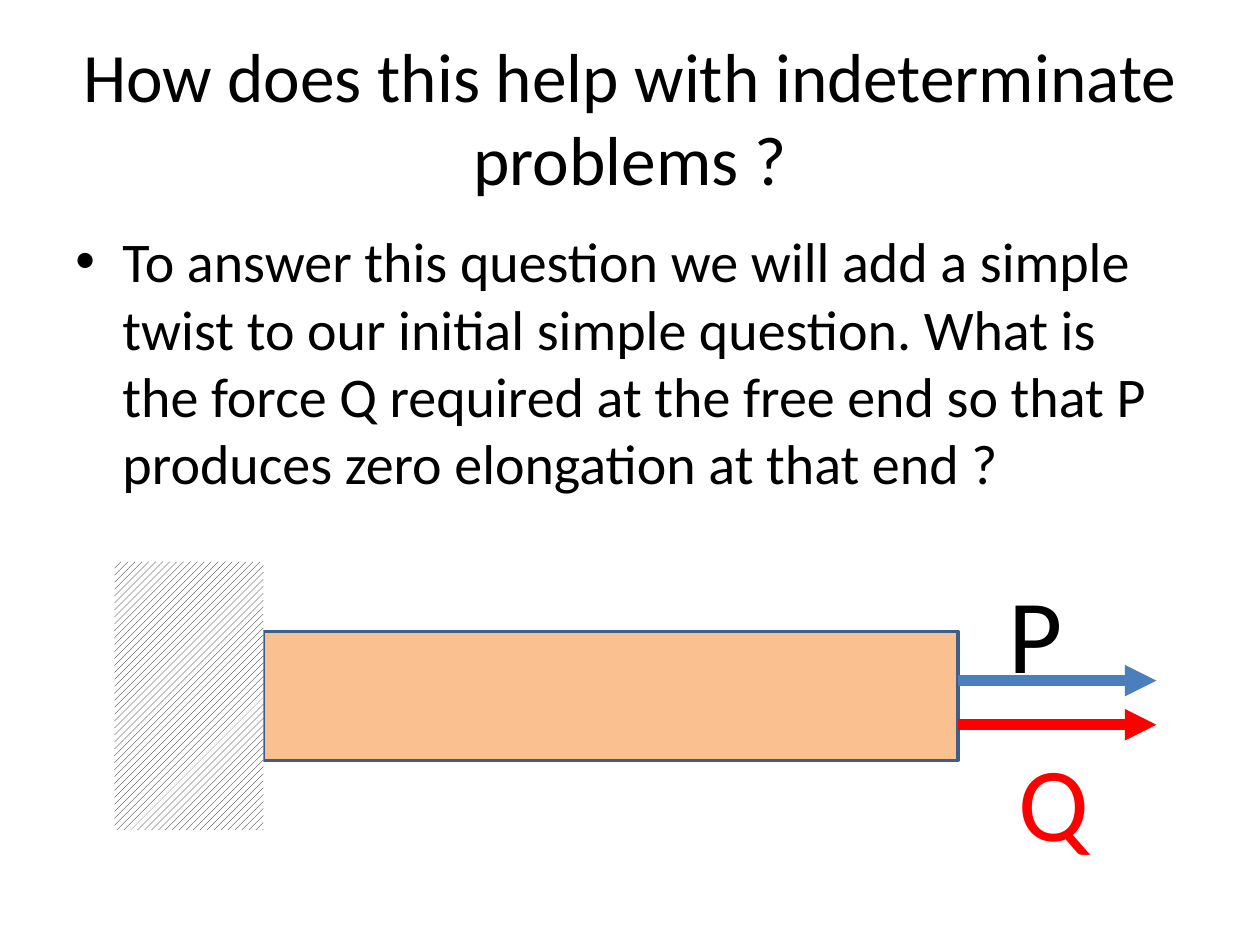
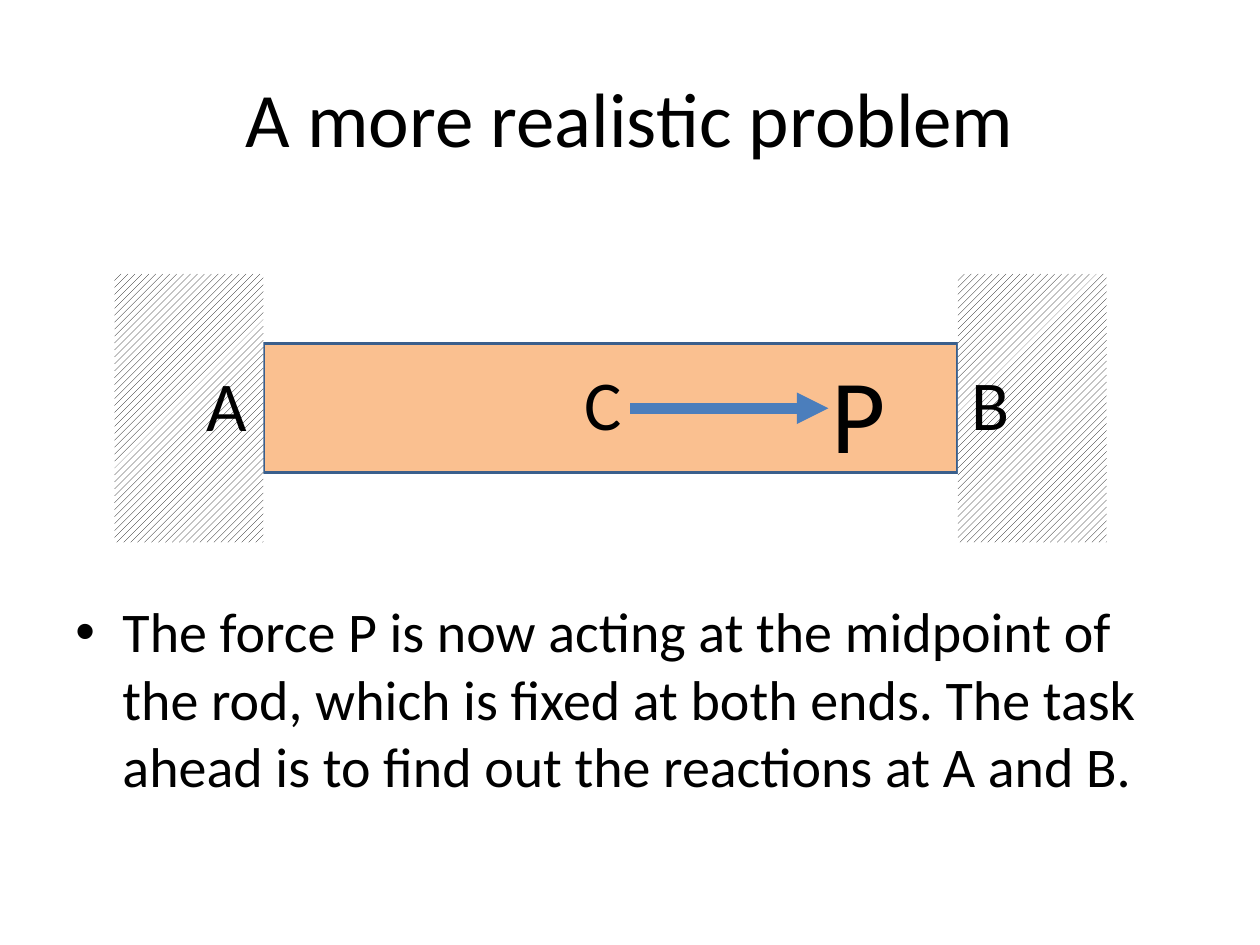
from dataclasses import dataclass

from lxml import etree
from pptx import Presentation
from pptx.dml.color import RGBColor
from pptx.enum.dml import MSO_PATTERN
from pptx.enum.shapes import MSO_CONNECTOR, MSO_SHAPE
from pptx.enum.text import MSO_ANCHOR, MSO_AUTO_SIZE, PP_ALIGN
from pptx.oxml.ns import qn
from pptx.util import Cm, Pt

RECTANGLE = MSO_SHAPE.RECTANGLE
STRAIGHT = MSO_CONNECTOR.STRAIGHT
HATCH = MSO_PATTERN.WIDE_UPWARD_DIAGONAL
MIDDLE, TOP = MSO_ANCHOR.MIDDLE, MSO_ANCHOR.TOP
CENTER, LEFT = PP_ALIGN.CENTER, PP_ALIGN.LEFT
GROW, FIXED = MSO_AUTO_SIZE.SHAPE_TO_FIT_TEXT, MSO_AUTO_SIZE.NONE


@dataclass(frozen=True)
class Theme:
    font: str = "Calibri"
    black: RGBColor = RGBColor(0, 0, 0)
    white: RGBColor = RGBColor(255, 255, 255)
    red: RGBColor = RGBColor(255, 0, 0)
    blue: RGBColor = RGBColor(0x4B, 0x7E, 0xBC)
    outline: RGBColor = RGBColor(0x3A, 0x5F, 0x8C)
    rod: RGBColor = RGBColor(0xFA, 0xC0, 0x90)
    body_size: float = 32
    force_size: float = 60
    point_size: float = 40
    rod_line: float = 2
    arrow_line: float = 6


THEME = Theme()
PAGE_WIDTH, PAGE_HEIGHT = 25.4, 19.05
MARGIN = 1.27
TEXT_WIDTH = PAGE_WIDTH - 2 * MARGIN
TITLE_TOP, TITLE_HEIGHT = 0.76, 3.18
BULLET_INDENT = 0.95
ROD_LEFT, ROD_WIDTH, ROD_HEIGHT = 5.31, 14, 2.6
ROD_RIGHT = ROD_LEFT + ROD_WIDTH
WALL_WIDTH, WALL_HEIGHT = 3, 5.41
ARROW_LENGTH = 4
LABEL_BOXES = {THEME.force_size: (2, 2.82), THEME.point_size: (1.37, 1.96)}

SLIDES = [
    {
        "title": "How does this help with indeterminate problems ?",
        "title_size": 39.6,
        "body": "To answer this question we will add a simple twist to our initial "
                "simple question. What is the force Q required at the free end so "
                "that P produces zero elongation at that end ?",
        "body_area": (4.45, 12.57),
        "axis": 14.03,
        "walls": [ROD_LEFT - WALL_WIDTH],
        "arrows": [(ROD_RIGHT, -0.31, THEME.blue), (ROD_RIGHT, 0.58, THEME.red)],
        "labels": [
            ("P", 20.09, -2.7, THEME.force_size, THEME.black),
            ("Q", 20.29, 0.7, THEME.force_size, THEME.red),
        ],
    },
    {
        "title": "A more realistic problem",
        "title_size": 44,
        "body": "The force P is now acting at the midpoint of the rod, which is fixed "
                "at both ends. The task ahead is to find out the reactions at A and B.",
        "body_area": (11.91, 5.08),
        "axis": 8.23,
        "walls": [ROD_LEFT - WALL_WIDTH, ROD_RIGHT],
        "arrows": [(PAGE_WIDTH / 2, 0, THEME.blue)],
        "labels": [
            ("P", 16.51, -1.32, THEME.force_size, THEME.black),
            ("A", 3.91, -1.07, THEME.point_size, THEME.black),
            ("C", 11.53, -1.09, THEME.point_size, THEME.black),
            ("B", 19.33, -1.09, THEME.point_size, THEME.black),
        ],
    },
]


def apply(target, values):
    for name, value in values.items():
        setattr(target, name, value)


def add_text(page, text, area, size, color=THEME.black, align=LEFT,
             anchor=TOP, fit=FIXED):
    box = page.shapes.add_textbox(*map(Cm, area))
    apply(box.text_frame, {"word_wrap": True, "vertical_anchor": anchor,
                           "auto_size": fit})
    para = box.text_frame.paragraphs[0]
    para.alignment = align
    span = para.add_run()
    span.text = text
    apply(span.font, {"name": THEME.font, "size": Pt(size)})
    span.font.color.rgb = color
    return para


def add_bullet(para):
    properties = para._p.get_or_add_pPr()
    indent = Cm(BULLET_INDENT)
    properties.set("marL", str(indent))
    properties.set("indent", str(-indent))
    etree.SubElement(properties, qn("a:buFont")).set("typeface", "Arial")
    etree.SubElement(properties, qn("a:buChar")).set("char", "•")


def add_block(page, left, axis, width, height):
    block = page.shapes.add_shape(
        RECTANGLE, Cm(left), Cm(axis - height / 2), Cm(width), Cm(height))
    block.shadow.inherit = False
    return block


def add_rod(page, axis):
    rod = add_block(page, ROD_LEFT, axis, ROD_WIDTH, ROD_HEIGHT)
    rod.fill.solid()
    rod.fill.fore_color.rgb = THEME.rod
    rod.line.color.rgb = THEME.outline
    rod.line.width = Pt(THEME.rod_line)


def add_wall(page, left, axis):
    wall = add_block(page, left, axis, WALL_WIDTH, WALL_HEIGHT)
    wall.fill.patterned()
    wall.fill.pattern = HATCH
    wall.fill.fore_color.rgb = THEME.black
    wall.fill.back_color.rgb = THEME.white
    wall.line.fill.background()


def add_arrow(page, left, height, color):
    arrow = page.shapes.add_connector(
        STRAIGHT, Cm(left), Cm(height), Cm(left + ARROW_LENGTH), Cm(height))
    arrow.line.color.rgb = color
    arrow.line.width = Pt(THEME.arrow_line)
    etree.SubElement(arrow.line._get_or_add_ln(), qn("a:tailEnd")).set("type", "triangle")
    etree.SubElement(arrow._element.spPr, qn("a:effectLst"))


def build_page(deck, content):
    page = deck.slides.add_slide(deck.slide_layouts[6])
    axis = content["axis"]
    add_text(page, content["title"], (MARGIN, TITLE_TOP, TEXT_WIDTH, TITLE_HEIGHT),
             content["title_size"], align=CENTER, anchor=MIDDLE)
    body_top, body_height = content["body_area"]
    add_bullet(add_text(page, content["body"],
                        (MARGIN, body_top, TEXT_WIDTH, body_height), THEME.body_size))
    add_rod(page, axis)
    for left in content["walls"]:
        add_wall(page, left, axis)
    for left, offset, color in content["arrows"]:
        add_arrow(page, left, axis + offset, color)
    for text, left, offset, size, color in content["labels"]:
        add_text(page, text, (left, axis + offset, *LABEL_BOXES[size]), size, color,
                 fit=GROW)


deck = Presentation()
apply(deck, {"slide_width": Cm(PAGE_WIDTH), "slide_height": Cm(PAGE_HEIGHT)})
for content in SLIDES:
    build_page(deck, content)
deck.save("out.pptx")
